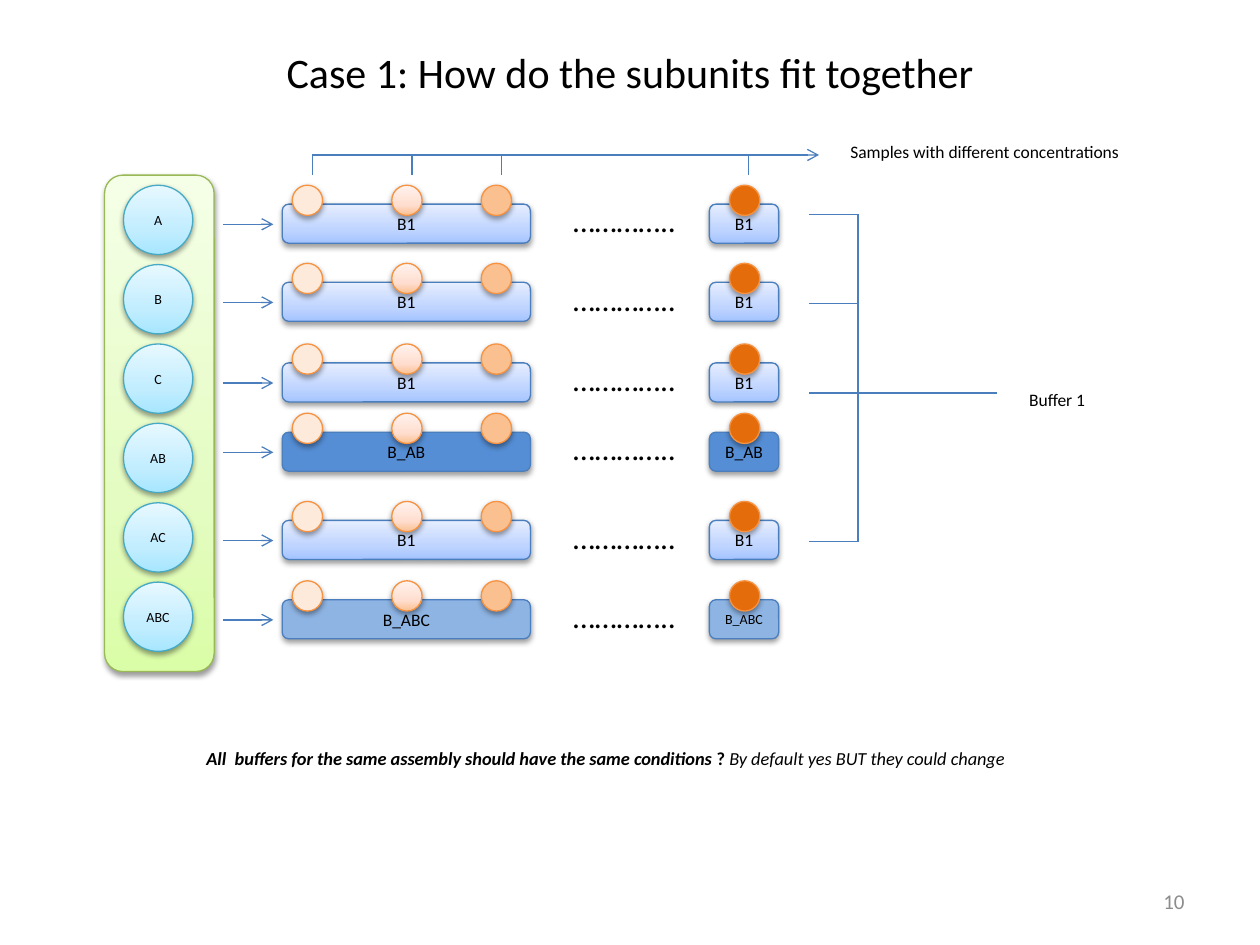
import pptx
import pptx.util
import pptx.dml.color
import pptx.enum.shapes
import pptx.enum.text
import pptx.oxml.ns
from lxml import etree

Inches = pptx.util.Inches
Pt = pptx.util.Pt
RGBColor = pptx.dml.color.RGBColor
KIND = pptx.enum.shapes.MSO_SHAPE
ALIGN = pptx.enum.text.PP_ALIGN
MIDDLE = pptx.enum.text.MSO_ANCHOR.MIDDLE
qn = pptx.oxml.ns.qn

BLACK = RGBColor(0x00, 0x00, 0x00)
GRAY = RGBColor(0x8C, 0x8C, 0x8C)
BLUE = RGBColor(0x4B, 0x7E, 0xBC)
TEAL = RGBColor(0x46, 0xAA, 0xC5)
GREEN = RGBColor(0x98, 0xB9, 0x55)
ORANGE = RGBColor(0xF6, 0x92, 0x40)
CREAM = RGBColor(0xFD, 0xEA, 0xDA)
PEACH = RGBColor(0xFA, 0xC0, 0x90)
RUST = RGBColor(0xE4, 0x6C, 0x0A)
MID_BLUE = RGBColor(0x55, 0x8E, 0xD5)
PALE_BLUE = RGBColor(0x8E, 0xB4, 0xE3)
LIME_FADE = [RGBColor(0xDA, 0xFD, 0xA7), RGBColor(0xE4, 0xFC, 0xC2), RGBColor(0xF5, 0xFF, 0xE7)]
AQUA_FADE = [RGBColor(0xA7, 0xE6, 0xFF), RGBColor(0xC1, 0xED, 0xFF), RGBColor(0xE7, 0xF8, 0xFF)]
BLUE_FADE = [RGBColor(0xA4, 0xC4, 0xFF), RGBColor(0xBF, 0xD4, 0xFF), RGBColor(0xE6, 0xEE, 0xFF)]
PINK_FADE = [RGBColor(0xFA, 0xC0, 0x90), RGBColor(0xFF, 0xDE, 0xD0), RGBColor(0xFF, 0xF2, 0xED)]


def style(font, size, color=BLACK):
    font.name = "Calibri"
    font.size = Pt(size)
    font.color.rgb = color


def fade(shape, colors):
    shape.fill.gradient()
    shape.fill.gradient_angle = 90
    stops = shape.element.spPr.find(".//" + qn("a:gsLst"))
    for stop in list(stops):
        stops.remove(stop)
    for place, color in zip((0, 35000, 100000), colors):
        stop = etree.SubElement(stops, qn("a:gs"), pos=str(place))
        etree.SubElement(stop, qn("a:srgbClr"), val=str(color))


def shade(shape):
    shape.shadow.inherit = False
    effects = shape.element.spPr.find(qn("a:effectLst"))
    outer = etree.SubElement(effects, qn("a:outerShdw"), blurRad="40000",
                             dist="20000", dir="5400000", rotWithShape="0")
    color = etree.SubElement(outer, qn("a:srgbClr"), val="000000")
    etree.SubElement(color, qn("a:alpha"), val="38000")


def add_block(shapes, kind, x, y, w, h, fill, edge, text="", size=10):
    shape = shapes.add_shape(kind, Inches(x), Inches(y), Inches(w), Inches(h))
    if isinstance(fill, list):
        fade(shape, fill)
    else:
        shape.fill.solid()
        shape.fill.fore_color.rgb = fill
    shape.line.color.rgb = edge
    shape.line.width = Pt(0.75)
    shade(shape)
    if text:
        frame = shape.text_frame
        frame.margin_left = frame.margin_right = 0
        frame.vertical_anchor = MIDDLE
        para = frame.paragraphs[0]
        para.text = text
        para.alignment = ALIGN.CENTER
        style(para.font, size)


def add_label(shapes, x, y, w, h, text, size, color=BLACK, wrap=False):
    box = shapes.add_textbox(Inches(x), Inches(y), Inches(w), Inches(h))
    box.text_frame.word_wrap = wrap
    para = box.text_frame.paragraphs[0]
    para.text = text
    style(para.font, size, color)
    return box.text_frame


def add_line(shapes, x1, y1, x2, y2, arrow=False):
    line = shapes.add_connector(pptx.enum.shapes.MSO_CONNECTOR.STRAIGHT,
                                Inches(x1), Inches(y1), Inches(x2), Inches(y2))
    line.line.color.rgb = BLUE
    line.line.width = Pt(0.75)
    if arrow:
        edge = line.element.spPr.find(qn("a:ln"))
        etree.SubElement(edge, qn("a:tailEnd"), type="arrow")
    etree.SubElement(line.element.spPr, qn("a:effectLst"))


def add_title(slide):
    title = slide.shapes.title
    title.left, title.top = Inches(0.5), Inches(0.3)
    title.width, title.height = Inches(9), Inches(0.54)
    title.text_frame.vertical_anchor = MIDDLE
    para = title.text_frame.paragraphs[0]
    para.text = "Case 1: How do the subunits fit together"
    para.alignment = ALIGN.CENTER
    style(para.font, 24)


def add_units(shapes, x, y, w, h, names):
    add_block(shapes, KIND.ROUNDED_RECTANGLE, x, y, w, h, LIME_FADE, GREEN)
    for i, name in enumerate(names):
        add_block(shapes, KIND.OVAL, x + 0.15, y + 0.08 + 0.63 * i, 0.55, 0.55,
                  AQUA_FADE, TEAL, name, 8)


def add_row(shapes, x, y, name, fill, size):
    row = shapes.add_group_shape().shapes
    for left, w, pt in ((0.47, 1.97, 10), (3.86, 0.55, size)):
        add_block(row, KIND.ROUNDED_RECTANGLE, x + left, y + 0.15, w, 0.31,
                  fill, BLUE, name, pt)
    for left, tint in ((0.55, CREAM), (1.34, PINK_FADE), (2.05, PEACH), (4.02, RUST)):
        add_block(row, KIND.OVAL, x + left, y, 0.24, 0.24, tint, ORANGE)
    add_label(row, x + 2.68, y + 0.08, 1.02, 0.4, "…………..", 18)
    add_line(row, x, y + 0.31, x + 0.4, y + 0.31, True)


def add_samples(shapes, x, y):
    add_label(shapes, x + 4.17, y - 0.16, 2.38, 0.27,
              "Samples with different concentrations", 10)
    add_line(shapes, x, y, x + 4.02, y, True)
    for left in (0, 0.79, 1.5, 3.46):
        add_line(shapes, x + left, y, x + left, y + 0.16)


def add_buffer(shapes, x, y):
    add_line(shapes, x + 0.39, y, x + 0.39, y + 2.6)
    for top in (0, 0.71, 1.42, 2.6):
        add_line(shapes, x + 0.39, y + top, x, y + top)
    add_line(shapes, x + 0.39, y + 1.42, x + 1.49, y + 1.42)
    add_label(shapes, x + 1.65, y + 1.34, 0.66, 0.27, "Buffer 1", 10)


def add_notes(shapes, x, y):
    frame = add_label(shapes, x, y, 7.4, 0.28, "", 10.5, wrap=True)
    para = frame.paragraphs[0]
    for text, bold, slant in (
            ("All  buffers for the same assembly should have the same conditions ", True, True),
            ("? ", True, False),
            ("By default yes BUT they could change", False, True)):
        run = para.add_run()
        run.text = text
        run.font.bold = bold
        run.font.italic = slant


def add_number(shapes, x, y):
    frame = add_label(shapes, x, y, 2.33, 0.4, "10", 12, GRAY, True)
    frame.vertical_anchor = MIDDLE
    frame.paragraphs[0].alignment = ALIGN.RIGHT


deck = pptx.Presentation()
deck.slide_width, deck.slide_height = Inches(10), Inches(7.5)
slide = deck.slides.add_slide(deck.slide_layouts[5])
shapes = slide.shapes

add_title(slide)
add_units(shapes, 0.83, 1.39, 0.87, 3.94, ("A", "B", "C", "AB", "AC", "ABC"))
for y, name, fill, size in (
        (1.47, "B1", BLUE_FADE, 10),
        (2.09, "B1", BLUE_FADE, 10),
        (2.73, "B1", BLUE_FADE, 10),
        (3.28, "B_AB", MID_BLUE, 10),
        (3.98, "B1", BLUE_FADE, 10),
        (4.61, "B_ABC", PALE_BLUE, 8)):
    add_row(shapes, 1.77, y, name, fill, size)
add_samples(shapes, 2.48, 1.23)
add_buffer(shapes, 6.42, 1.7)
add_notes(shapes, 1.54, 5.88)
add_number(shapes, 7.17, 6.95)

deck.save("out.pptx")
